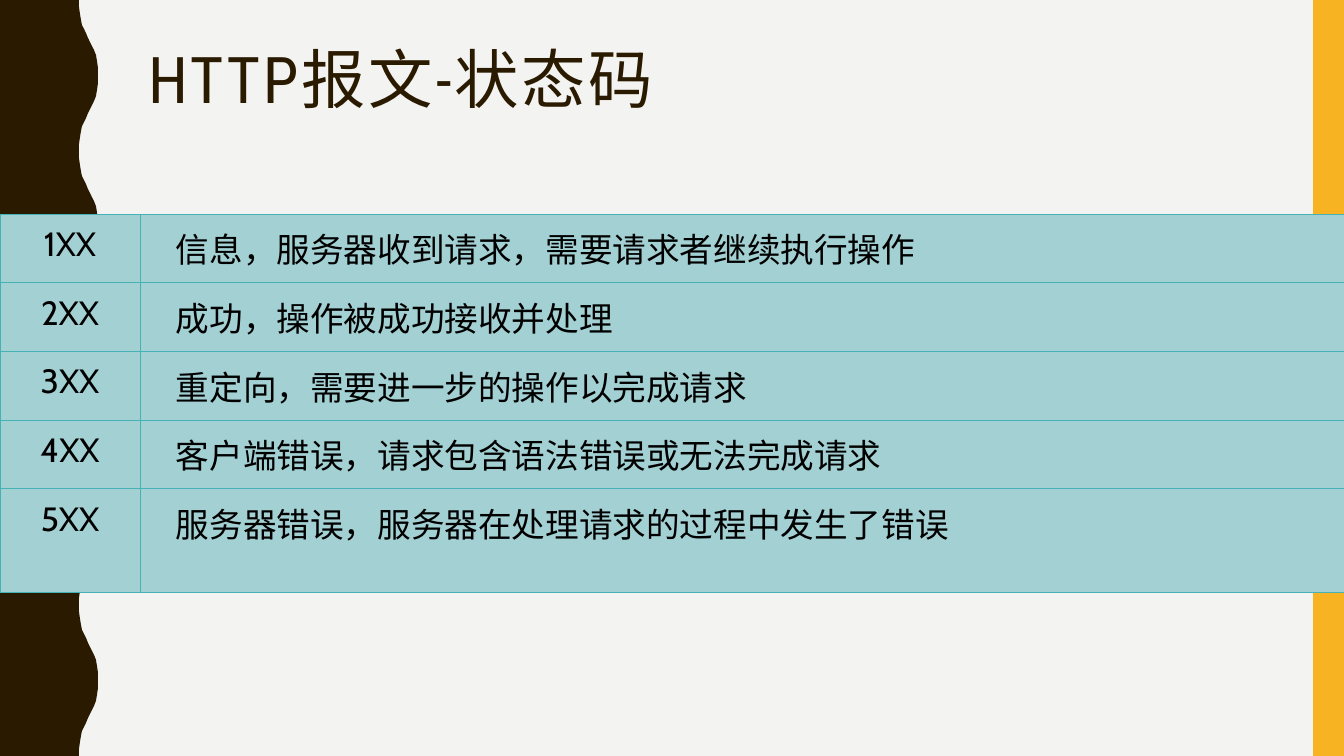
from dataclasses import dataclass

from lxml.etree import SubElement
from pptx import Presentation
from pptx.dml.color import RGBColor
from pptx.enum.shapes import MSO_SHAPE
from pptx.enum.text import MSO_ANCHOR, MSO_AUTO_SIZE, PP_ALIGN
from pptx.oxml.ns import qn
from pptx.util import Pt

# Content
TITLE = "HTTP报文-状态码"
STATUS_CODES = [
    ("1XX", "信息，服务器收到请求，需要请求者继续执行操作"),
    ("2XX", "成功，操作被成功接收并处理"),
    ("3XX", "重定向，需要进一步的操作以完成请求"),
    ("4XX", "客户端错误，请求包含语法错误或无法完成请求"),
    ("5XX", "服务器错误，服务器在处理请求的过程中发生了错误"),
]


@dataclass(frozen=True)
class Theme:
    background: str = "F3F3F2"
    dark: str = "2A1A00"
    accent: str = "F8B323"
    cell: str = "A3D0D3"
    border: str = "46B2B5"
    text: str = "000000"
    title_font: str = "Roboto Condensed"
    body_font: str = "Cabin"
    title_size: int = 46
    body_size: int = 24
    border_width: float = 0.5


THEME = Theme()

# Layout in px
EMU_PER_PX = 914400 / 100.8
SLIDE_WIDTH, SLIDE_HEIGHT = 1344, 756
TITLE_BOX = (138, 42, 1122, 82)
STRIPE_WIDTH = 31
TABLE_TOP = 214
COLUMN_WIDTHS = (140, 1204)
ROW_HEIGHTS = (68, 68, 68, 68, 104)
CELL_MARGIN_X, CELL_MARGIN_Y, DESCRIPTION_INDENT = 7, 10, 36
HALF_WAVES = 10
WAVE_PROFILE = [
    (79, 0), (79, 7), (80, 14), (81, 20), (82, 25), (84, 29), (86, 33), (88, 38),
    (90, 42), (92, 46), (94, 50), (96, 55), (97, 61), (98, 68),
]


def px(length):
    return round(length * EMU_PER_PX)


def color(value):
    return RGBColor.from_string(value)


def style_paragraph(paragraph, font_name, size, font_color, alignment):
    paragraph.alignment = alignment
    paragraph.font.name = font_name
    paragraph.font.size = Pt(size)
    paragraph.font.color.rgb = color(font_color)


def fill_shape(shape, fill_color):
    shape.shadow.inherit = False
    shape.fill.solid()
    shape.fill.fore_color.rgb = color(fill_color)
    shape.line.fill.background()


def add_wave(slide):
    half = SLIDE_HEIGHT / HALF_WAVES
    crest = WAVE_PROFILE[-1][0]
    rising = WAVE_PROFILE + [(crest, half)]
    falling = [(x, half - y) for x, y in reversed(rising)]
    edge = [
        (px(x), px(index * half + y))
        for index in range(HALF_WAVES)
        for x, y in (falling if index % 2 else rising)
    ]
    builder = slide.shapes.build_freeform(0, 0)
    builder.add_line_segments(edge + [(0, px(SLIDE_HEIGHT))], close=True)
    fill_shape(builder.convert_to_shape(), THEME.dark)


def add_stripe(slide):
    stripe = slide.shapes.add_shape(
        MSO_SHAPE.RECTANGLE, px(SLIDE_WIDTH - STRIPE_WIDTH), 0,
        px(STRIPE_WIDTH), px(SLIDE_HEIGHT))
    fill_shape(stripe, THEME.accent)


def add_title(slide):
    title = slide.shapes.title
    title.left, title.top, title.width, title.height = map(px, TITLE_BOX)
    frame = title.text_frame
    frame.text = TITLE
    frame.word_wrap = True
    frame.auto_size = MSO_AUTO_SIZE.NONE
    frame.vertical_anchor = MSO_ANCHOR.MIDDLE
    paragraph = frame.paragraphs[0]
    paragraph.line_spacing = 0.9
    style_paragraph(paragraph, THEME.title_font, THEME.title_size, THEME.dark, PP_ALIGN.LEFT)
    # Letter spacing of 2 pt
    paragraph.runs[0].font.language_id = None
    for run in paragraph.runs:
        run._r.get_or_add_rPr().set("spc", "200")


def add_borders(cell):
    properties = cell._tc.get_or_add_tcPr()
    for side in ("a:lnL", "a:lnR", "a:lnT", "a:lnB"):
        line = SubElement(properties, qn(side), w=str(Pt(THEME.border_width)))
        SubElement(SubElement(line, qn("a:solidFill")), qn("a:srgbClr"), val=THEME.border)


def format_cell(cell, text, left_margin, alignment):
    cell.text = text
    cell.margin_left, cell.margin_right = px(left_margin), px(CELL_MARGIN_X)
    cell.margin_top = cell.margin_bottom = px(CELL_MARGIN_Y)
    cell.vertical_anchor = MSO_ANCHOR.TOP
    style_paragraph(cell.text_frame.paragraphs[0], THEME.body_font,
                    THEME.body_size, THEME.text, alignment)
    add_borders(cell)
    cell.fill.solid()
    cell.fill.fore_color.rgb = color(THEME.cell)


def add_status_table(slide):
    table = slide.shapes.add_table(
        len(STATUS_CODES), len(COLUMN_WIDTHS), 0, px(TABLE_TOP),
        px(sum(COLUMN_WIDTHS)), px(sum(ROW_HEIGHTS))).table
    table.first_row = table.horz_banding = False
    for column, width in zip(table.columns, COLUMN_WIDTHS):
        column.width = px(width)
    for row, height, (code, description) in zip(table.rows, ROW_HEIGHTS, STATUS_CODES):
        row.height = px(height)
        code_cell, description_cell = row.cells
        format_cell(code_cell, code, CELL_MARGIN_X, PP_ALIGN.CENTER)
        format_cell(description_cell, description, DESCRIPTION_INDENT, PP_ALIGN.LEFT)


def main():
    presentation = Presentation()
    presentation.slide_width, presentation.slide_height = px(SLIDE_WIDTH), px(SLIDE_HEIGHT)
    slide = presentation.slides.add_slide(presentation.slide_layouts[5])
    slide.background.fill.solid()
    slide.background.fill.fore_color.rgb = color(THEME.background)
    add_wave(slide)
    add_stripe(slide)
    add_title(slide)
    add_status_table(slide)
    presentation.save("out.pptx")


if __name__ == "__main__":
    main()
